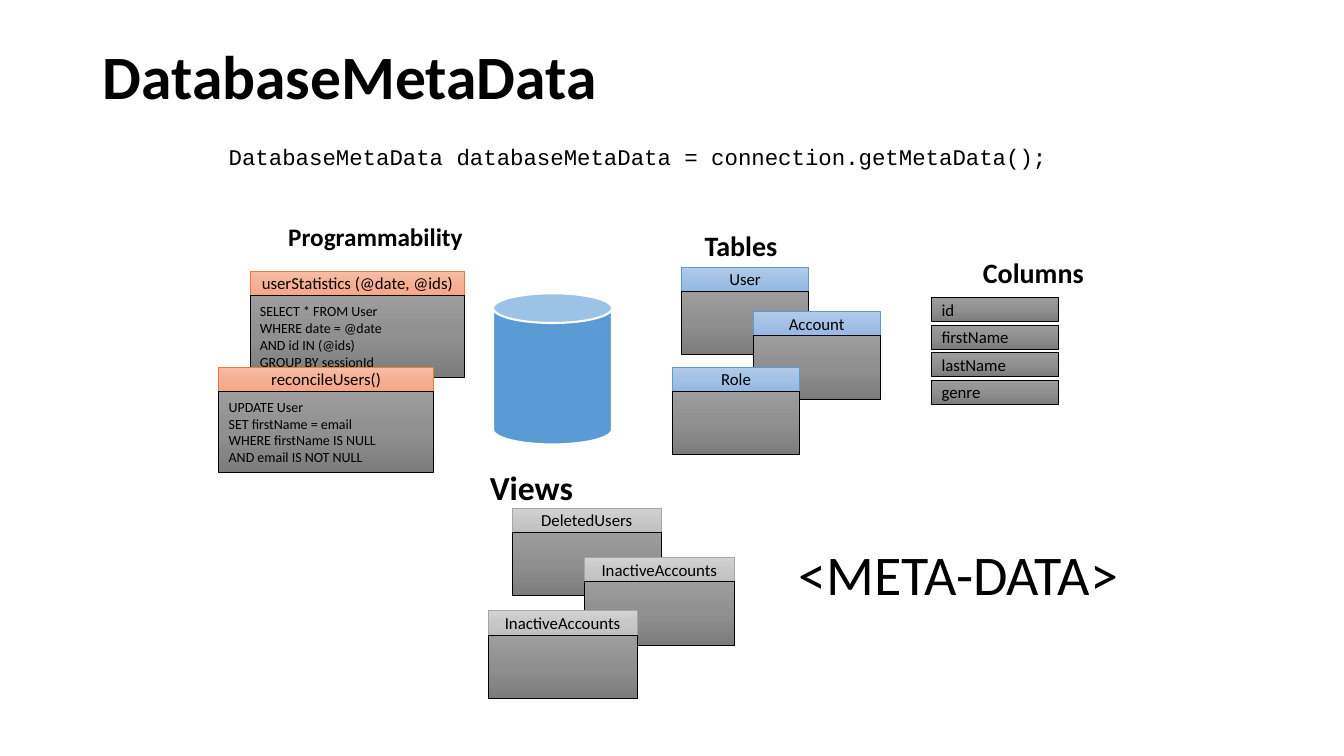
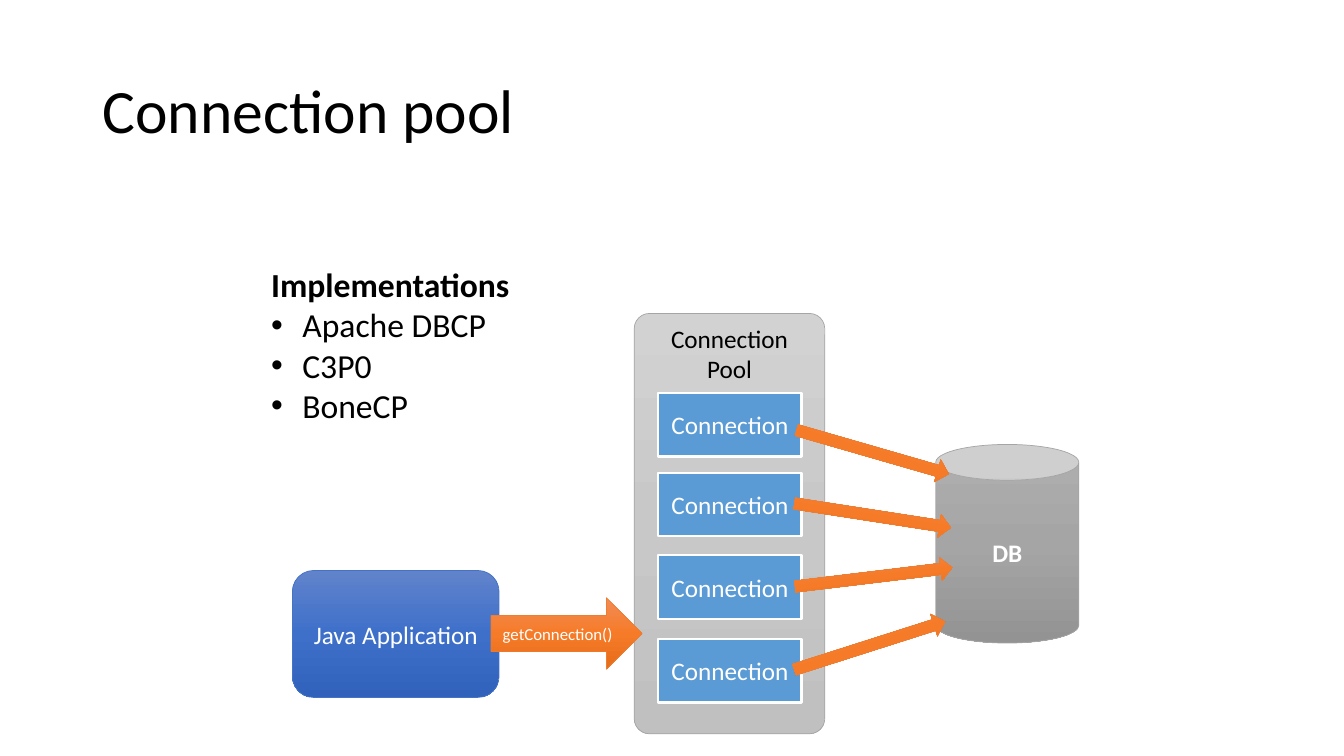
"""Build two slides on database metadata and connection pooling."""
import copy

import lxml.etree
import pptx
import pptx.dml.color
import pptx.enum.shapes
import pptx.enum.text
import pptx.oxml.ns
import pptx.util

Inches = pptx.util.Inches
Pt = pptx.util.Pt
RGBColor = pptx.dml.color.RGBColor
Shape = pptx.enum.shapes.MSO_SHAPE
Anchor = pptx.enum.text.MSO_ANCHOR
Align = pptx.enum.text.PP_ALIGN
qn = pptx.oxml.ns.qn

BLACK = RGBColor(0x00, 0x00, 0x00)
WHITE = RGBColor(0xFF, 0xFF, 0xFF)
BLUE = RGBColor(0x5B, 0x9B, 0xD5)
ORANGE = RGBColor(0xED, 0x7D, 0x31)
GRAY = RGBColor(0xA5, 0xA5, 0xA5)
ROYAL = RGBColor(0x44, 0x72, 0xC4)


def gradient(*codes):
    return [RGBColor.from_string(code) for code in codes]


SOLID_BLUE = {"fill": BLUE, "line": WHITE, "weight": 1.5}
LIGHT_BLUE = {"fill": gradient("B1CBE9", "A3C1E5", "93B9E4"), "line": BLUE}
LIGHT_ORANGE = {"fill": gradient("F7BDA5", "F5B196", "F8A582"), "line": ORANGE}
LIGHT_GRAY = {"fill": gradient("D2D2D2", "C8C8C8", "C0C0C0"), "line": GRAY}
DARK_GRAY = {"fill": gradient("9D9D9D", "909090", "7C7C7C"), "line": BLACK}
MID_GRAY = {"fill": gradient("AFAFAF", "A5A5A5", "939393"), "line": GRAY}
DEEP_BLUE = {"fill": gradient("6183CB", "3E70CA", "3062BB"), "line": ROYAL}
DEEP_ORANGE = {"fill": gradient("F18C57", "F67B28", "E56C19"), "line": ORANGE}

TITLE = {"size": Pt(44), "name": "Calibri"}
HEADER_HEIGHT = 0.24


def set_values(target, values):
    for name, value in values.items():
        setattr(target, name, value)


def font_values(size, **extra):
    return {"size": Pt(size), "name": "Calibri", **extra}


def write_paragraph(paragraph, text, font, color=BLACK, **settings):
    set_values(paragraph, settings)
    run = paragraph.add_run()
    run.text = text
    set_values(run.font, font)
    run.font.color.rgb = color


def write_lines(frame, lines, font, color=BLACK, **settings):
    for index, line in enumerate(lines):
        paragraph = frame.add_paragraph() if index else frame.paragraphs[0]
        write_paragraph(paragraph, line, font, color, **settings)


def add_text(slide, box, text, font, wrap=True, anchor=Anchor.TOP, **settings):
    frame = slide.shapes.add_textbox(*map(Inches, box)).text_frame
    set_values(frame, {"word_wrap": wrap, "vertical_anchor": anchor})
    write_lines(frame, [text], font, **settings)
    return frame


def add_title(slide, text, height, bold=False):
    add_text(slide, (0.92, 0.4, 11.5, height), text, {**TITLE, "bold": bold},
             anchor=Anchor.MIDDLE, line_spacing=0.9)


def add_bullet(frame, text, font):
    paragraph = frame.add_paragraph()
    properties = paragraph._p.get_or_add_pPr()
    properties.set("marL", str(Inches(0.31)))
    properties.set("indent", str(Inches(-0.31)))
    lxml.etree.SubElement(properties, qn("a:buFont"), typeface="Arial")
    lxml.etree.SubElement(properties, qn("a:buChar"), char="•")
    write_paragraph(paragraph, text, font)


def paint(fill, colors):
    if isinstance(colors, RGBColor):
        fill.solid()
        fill.fore_color.rgb = colors
        return
    fill.gradient()
    fill.gradient_angle = 270
    first = fill.gradient_stops[0]._gs
    first.addnext(copy.deepcopy(first))
    for index, (stop, color) in enumerate(zip(fill.gradient_stops, colors)):
        stop.color.rgb = color
        stop.position = index / 2


def add_box(shapes, kind, box, look, lines=(), size=12, color=BLACK,
            alignment=Align.CENTER, anchor=Anchor.MIDDLE, bold=False):
    shape = shapes.add_shape(kind, *map(Inches, box))
    shape.shadow.inherit = False
    paint(shape.fill, look["fill"])
    shape.line.color.rgb = look["line"]
    shape.line.width = Pt(look.get("weight", 0.5))
    shape.text_frame.vertical_anchor = anchor
    write_lines(shape.text_frame, lines, font_values(size, bold=bold), color,
                alignment=alignment)
    return shape


def add_card(slide, left, top, width, height, name, look, code=()):
    shapes = slide.shapes.add_group_shape().shapes
    add_box(shapes, Shape.RECTANGLE, (left, top, width, HEADER_HEIGHT), look, [name])
    add_box(shapes, Shape.RECTANGLE, (left, top + HEADER_HEIGHT, width, height),
            DARK_GRAY, code, size=10, alignment=Align.LEFT)


def build_metadata(slide):
    add_title(slide, "DatabaseMetaData", 0.78, bold=True)
    add_text(slide, (2.17, 1.4, 9, 0.43),
             "DatabaseMetaData databaseMetaData = connection.getMetaData();",
             {"size": Pt(16), "name": "Courier New"}, line_spacing=0.9)
    add_box(slide.shapes, Shape.CAN, (4.89, 2.91, 1.18, 1.5), SOLID_BLUE)

    for left, top, name in ((6.76, 2.65, "User"), (7.47, 3.09, "Account"),
                            (6.67, 3.64, "Role")):
        add_card(slide, left, top, 1.26, 0.63, name, LIGHT_BLUE)

    for index, column in enumerate(("id", "firstName", "lastName", "genre")):
        add_box(slide.shapes, Shape.RECTANGLE,
                (9.24, 2.95 + index * 0.82 / 3, 1.26, HEADER_HEIGHT),
                DARK_GRAY, [column], alignment=Align.LEFT)

    procedures = (
        (2.48, 2.69, "userStatistics (@date, @ids)",
         ("SELECT * FROM User", "WHERE date = @date", "AND id IN (@ids)",
          "GROUP BY sessionId")),
        (2.17, 3.64, "reconcileUsers()",
         ("UPDATE User", "SET firstName = email", "WHERE firstName IS NULL",
          "AND email IS NOT NULL")),
    )
    for left, top, name, code in procedures:
        add_card(slide, left, top, 2.13, 0.81, name, LIGHT_ORANGE, code)

    for left, top, name in ((5.08, 5.04, "DeletedUsers"),
                            (5.8, 5.53, "InactiveAccounts"),
                            (4.84, 6.06, "InactiveAccounts")):
        add_card(slide, left, top, 1.48, 0.63, name, LIGHT_GRAY)

    headings = (
        ((6.89, 2.22, 0.93, 0.44), "Tables", 20, False),
        ((9.65, 2.49, 1.21, 0.44), "Columns", 20, False),
        ((2.76, 2.15, 2.12, 0.4), "Programmability", 18, True),
        ((4.76, 4.58, 2.12, 0.5), "Views", 24, True),
    )
    for box, text, size, wrap in headings:
        add_text(slide, box, text, font_values(size, bold=True), wrap)
    add_text(slide, (7.82, 5.3, 3.41, 0.77), "<META-DATA>", font_values(40), False)


def build_pool(slide):
    add_title(slide, "Connection pool", 1.45)
    pool = add_box(slide.shapes, Shape.ROUNDED_RECTANGLE, (6.29, 3.11, 1.89, 4.17),
                   LIGHT_GRAY, ["Connection Pool"], 18, anchor=Anchor.TOP)
    pool.adjustments[0] = 0.08
    for top in (3.9, 4.69, 5.51, 6.34):
        add_box(slide.shapes, Shape.RECTANGLE, (6.53, top, 1.42, 0.63), SOLID_BLUE,
                ["Connection"], 18, WHITE)
    add_box(slide.shapes, Shape.CAN, (9.28, 4.41, 1.42, 1.97), MID_GRAY,
            ["DB"], 18, WHITE, bold=True)
    add_box(slide.shapes, Shape.ROUNDED_RECTANGLE, (2.9, 5.66, 2.05, 1.26), DEEP_BLUE,
            ["Java Application"], 18, WHITE)
    add_box(slide.shapes, Shape.RIGHT_ARROW, (4.87, 5.93, 1.5, 0.71), DEEP_ORANGE,
            ["getConnection()"], 12, WHITE)
    for left, top, rotation in ((7.87, 4.37, 16.1), (7.84, 6.29, 342.3),
                                (7.87, 5, 8.8), (7.88, 5.61, 353.1)):
        arrow = add_box(slide.shapes, Shape.RIGHT_ARROW, (left, top, 1.57, 0.23),
                        DEEP_ORANGE)
        arrow.rotation = rotation

    frame = add_text(slide, (2.59, 2.57, 3.31, 2.12), "Implementations",
                     font_values(24, bold=True))
    for library in ("Apache DBCP", "C3P0", "BoneCP"):
        add_bullet(frame, library, font_values(24))


def main():
    presentation = pptx.Presentation()
    set_values(presentation, {"slide_width": Inches(13.33), "slide_height": Inches(7.5)})
    for build in (build_metadata, build_pool):
        build(presentation.slides.add_slide(presentation.slide_layouts[6]))
    presentation.save("out.pptx")


if __name__ == "__main__":
    main()
